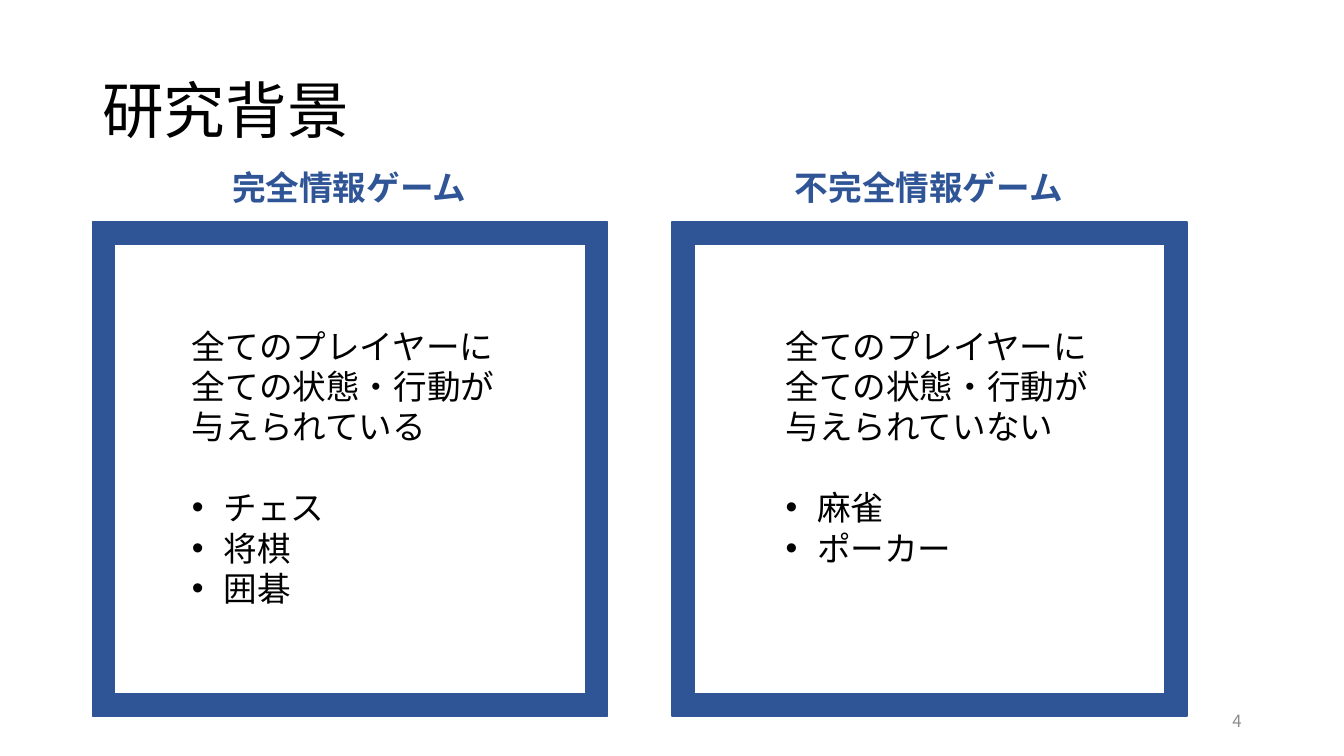
import pptx
import pptx.dml.color
import pptx.enum.shapes
import pptx.enum.text
import pptx.oxml.ns
import pptx.util
from lxml import etree

Pt = pptx.util.Pt
ALIGN = pptx.enum.text.PP_ALIGN
ANCHOR = pptx.enum.text.MSO_ANCHOR
BLACK = pptx.dml.color.RGBColor(0x00, 0x00, 0x00)
BLUE = pptx.dml.color.RGBColor(0x2F, 0x55, 0x97)
GRAY = pptx.dml.color.RGBColor(0x8C, 0x8C, 0x8C)
FONT = "Noto Sans CJK JP"
BULLET_INDENT = 22.5
LINE_HEIGHT = 29


def add_bullet(paragraph):
    properties = paragraph._p.get_or_add_pPr()
    properties.set("marL", str(Pt(BULLET_INDENT)))
    properties.set("indent", str(-Pt(BULLET_INDENT)))
    for tag, name, value in (("a:buFont", "typeface", "Arial"), ("a:buChar", "char", "•")):
        etree.SubElement(properties, pptx.oxml.ns.qn(tag)).set(name, value)


def write_text(paragraph, text, size=24, color=BLACK, bold=False, align=ALIGN.LEFT,
               bullet=False, space_before=0, line_spacing=1.0):
    paragraph.alignment = align
    paragraph.line_spacing = line_spacing
    paragraph.space_before = Pt(space_before)
    if bullet:
        add_bullet(paragraph)
    run = paragraph.add_run()
    run.text = text
    run.font.size = Pt(size)
    run.font.bold = bold
    run.font.color.rgb = color
    run.font.name = FONT
    east_asian = etree.SubElement(run._r.get_or_add_rPr(), pptx.oxml.ns.qn("a:ea"))
    east_asian.set("typeface", FONT)


def add_text_frame(slide, left, top, width, height, anchor=ANCHOR.TOP):
    box = slide.shapes.add_textbox(Pt(left), Pt(top), Pt(width), Pt(height))
    box.text_frame.word_wrap = True
    box.text_frame.vertical_anchor = anchor
    return box.text_frame


def add_title(slide, left, top, width, height):
    frame = add_text_frame(slide, left, top, width, height, ANCHOR.MIDDLE)
    write_text(frame.paragraphs[0], "研究背景", size=44, line_spacing=0.9)


def add_page_number(slide, left, top, width, height):
    frame = add_text_frame(slide, left, top, width, height, ANCHOR.MIDDLE)
    write_text(frame.paragraphs[0], "4", size=12, color=GRAY, align=ALIGN.RIGHT)


def add_game_panel(slide, left, top, width, height, heading, description, games, body_inset):
    """Place a heading above a thick frame holding a description and a list of games."""
    border = slide.shapes.add_shape(
        pptx.enum.shapes.MSO_SHAPE.FRAME, Pt(left), Pt(top), Pt(width), Pt(height))
    border.adjustments[0] = 0.045
    border.shadow.inherit = False
    border.fill.solid()
    border.fill.fore_color.rgb = BLUE
    border.line.color.rgb = BLUE
    border.line.width = Pt(1)

    heading_frame = add_text_frame(slide, left + 74, top - 43, 219, 36)
    write_text(heading_frame.paragraphs[0], heading, color=BLUE, bold=True, align=ALIGN.CENTER)

    body = add_text_frame(slide, left + body_inset, top + 70.5, 239, (4 + len(games)) * LINE_HEIGHT + 7.2)
    write_text(body.paragraphs[0], description)
    for index, game in enumerate(games):
        write_text(body.add_paragraph(), game, bullet=True,
                   space_before=0 if index else LINE_HEIGHT)


def main():
    presentation = pptx.Presentation()
    presentation.slide_width = Pt(960)
    presentation.slide_height = Pt(540)
    slide = presentation.slides.add_slide(presentation.slide_layouts[6])
    add_title(slide, 66, 29, 828, 104)
    add_page_number(slide, 678, 500.5, 216, 29)
    panels = (
        (66, "完全情報ゲーム", "全てのプレイヤーに全ての状態・行動が与えられている",
         ("チェス", "将棋", "囲碁"), 64),
        (480, "不完全情報ゲーム", "全てのプレイヤーに全ての状態・行動が与えられていない",
         ("麻雀", "ポーカー"), 74),
    )
    for left, heading, description, games, body_inset in panels:
        add_game_panel(slide, left, 158.5, 368, 353, heading, description, games, body_inset)
    presentation.save("out.pptx")


if __name__ == "__main__":
    main()
